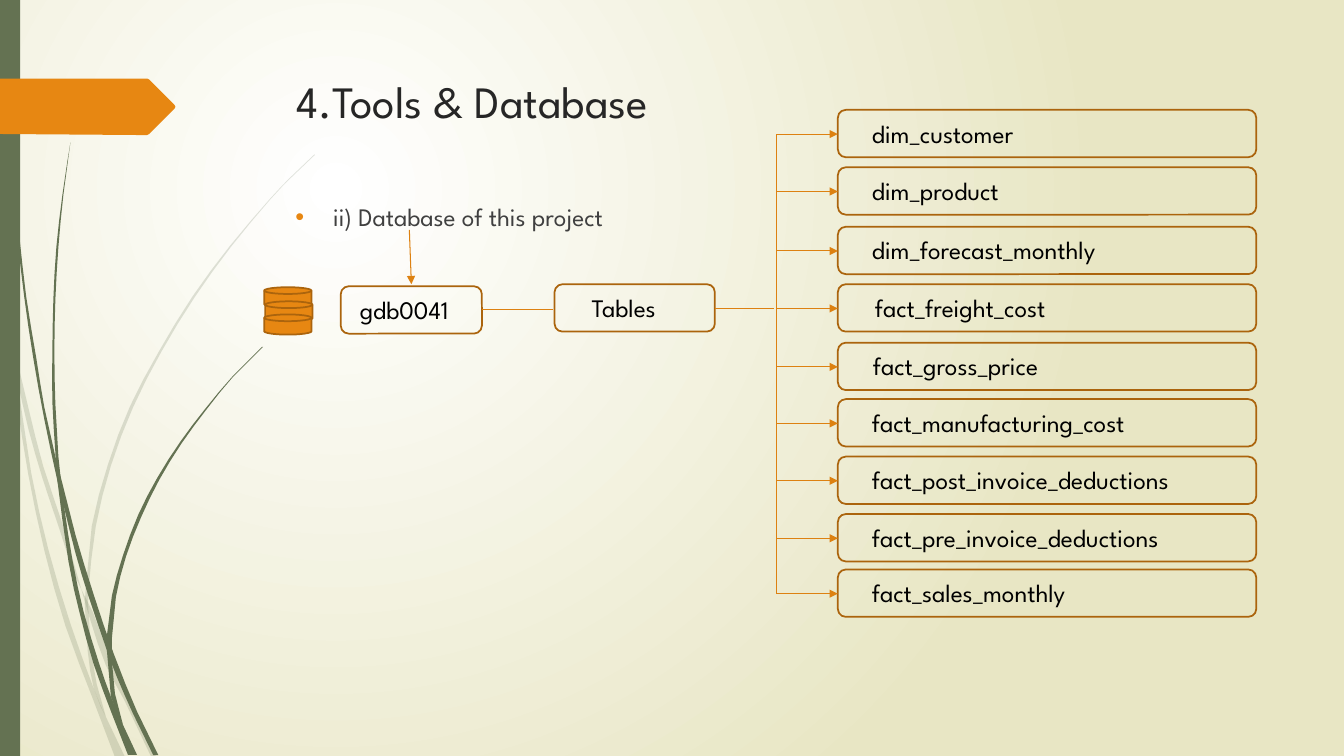
"""Build the slide that maps the project database to its tables."""
from math import dist

from lxml import etree
from pptx import Presentation
from pptx.dml.color import RGBColor
from pptx.enum.shapes import MSO_CONNECTOR, MSO_SHAPE
from pptx.oxml.ns import qn
from pptx.util import Emu, Pt

RECT, ROUND = MSO_SHAPE.RECTANGLE, MSO_SHAPE.ROUNDED_RECTANGLE
DISK = MSO_SHAPE.FLOWCHART_MAGNETIC_DISK
LINE = MSO_CONNECTOR.STRAIGHT
PX = 9144
FONT = "League Spartan"
COLORS = {
    "white": "FFFFFF", "sand": "E8E6C4", "green": "647252", "orange": "E78712",
    "edge": "AB640D", "link": "DD8111", "title": "262626", "body": "404040",
    "black": "000000",
}

TABLES = [
    ("dim_customer", 109, 855),
    ("dim_product", 166, 855),
    ("dim_forecast_monthly", 225, 855),
    ("fact_freight_cost", 282, 858),
    ("fact_gross_price", 340, 856),
    ("fact_manufacturing_cost", 396, 855),
    ("fact_post_invoice_deductions", 453, 855),
    ("fact_pre_invoice_deductions", 510, 855),
    ("fact_sales_monthly", 565, 855),
]
NODES = [
    ("gdb0041", (338, 284, 140, 47), (347, 287, 142, 40)),
    ("Tables", (550, 282, 159, 47), (577, 285, 105, 41)),
]
DISKS = [(262, 285), (263, 299), (262, 312)]
LINKS = [(478, 307, 548, 307), (709, 306, 768, 306)]
ROW = {"left": 831, "width": 415, "height": 47, "spine": 770}
ARROW = [(0, 78), (146, 78), (148, 79), (173, 104), (174, 106),
         (173, 108), (148, 133), (146, 134), (136, 134), (0, 133)]

PALE = [
    [(0, 282), (6, 309), (11, 350), (17, 376), (28, 425), (42, 474), (58, 522), (75, 573),
     (92, 607), (109, 652), (127, 692), (155, 751), (150, 751), (123, 694), (105, 660),
     (88, 610), (62, 520), (43, 463), (28, 404), (14, 345), (10, 344), (0, 299)],
    [(11, 350), (17, 376), (31, 469), (48, 545), (70, 619), (93, 683), (105, 711),
     (124, 751), (114, 751), (92, 693), (65, 621), (44, 546), (28, 470), (17, 400)],
    [(312, 153), (289, 175), (268, 197), (228, 244), (191, 294), (158, 348), (129, 403),
     (107, 461), (91, 522), (85, 584), (84, 599), (87, 646), (93, 683), (105, 711),
     (96, 679), (91, 646), (88, 610), (88, 584), (95, 522), (110, 462), (132, 404),
     (160, 349), (193, 295), (229, 245), (268, 198), (290, 175), (312, 154)],
]
DARK = [
    [(3, 0), (5, 48), (7, 110), (11, 172), (17, 233), (24, 294), (33, 355), (44, 416),
     (57, 477), (64, 505), (75, 549), (88, 592), (106, 645), (117, 674), (132, 708),
     (152, 749), (157, 749), (136, 706), (113, 649), (93, 590), (75, 531), (60, 472),
     (55, 453), (44, 404), (36, 355), (26, 294), (19, 232), (12, 171), (8, 109),
     (5, 48), (4, 0)],
    [(70, 141), (62, 193), (56, 245), (53, 297), (52, 349), (52, 399), (55, 449),
     (57, 477), (68, 557), (79, 608), (93, 659), (111, 708), (127, 749), (136, 749),
     (122, 719), (110, 691), (98, 657), (83, 607), (72, 556), (64, 505), (60, 472),
     (58, 453), (55, 401), (54, 349), (55, 297), (58, 245), (63, 193)],
    [(260, 344), (231, 373), (204, 405), (179, 438), (156, 474), (137, 511), (122, 551),
     (111, 591), (106, 631), (106, 645), (110, 691), (122, 719), (114, 688), (111, 656),
     (111, 633), (115, 592), (125, 552), (140, 513), (158, 476), (180, 440), (205, 406),
     (231, 374), (261, 344)],
]


def emu(*vals):
    return [Emu(round(v * PX)) for v in vals]


def rgb(name):
    return RGBColor.from_string(COLORS[name])


def paint(shape, fill=None, edge=None, alpha=None):
    shape.shadow.inherit = False
    if fill:
        shape.fill.solid()
        shape.fill.fore_color.rgb = rgb(fill)
    else:
        shape.fill.background()
    if edge:
        shape.line.color.rgb = rgb(edge)
        shape.line.width = Pt(1.25)
    else:
        shape.line.fill.background()
    if alpha:
        tint = shape.element.spPr.find(".//" + qn("a:srgbClr"))
        etree.SubElement(tint, qn("a:alpha"), val=str(alpha * 1000))


def block(slide, kind, box, fill=None, edge=None):
    paint(slide.shapes.add_shape(kind, *emu(*box)), fill, edge)


def outline(slide, pts, fill, alpha=None):
    pts = [emu(*p) for p in pts]
    form = slide.shapes.build_freeform(*pts[0], scale=1.0)
    form.add_line_segments(pts[1:], close=True)
    paint(form.convert_to_shape(), fill, alpha=alpha)


def smooth(knots):
    """Add a curved midpoint to each long side that continues both neighbours."""
    pts = []
    for i, b in enumerate(knots):
        a, c, d = knots[i - 1], knots[(i + 1) % len(knots)], knots[(i + 2) % len(knots)]
        pts.append(b)
        if min(dist(a, b), dist(b, c), dist(c, d)) > 25:
            pts.append([(9 * (b[j] + c[j]) - a[j] - d[j]) / 16 for j in (0, 1)])
    return pts


def label(slide, text, box, size=18, color="black"):
    frame = slide.shapes.add_textbox(*emu(*box)).text_frame
    frame.word_wrap = True
    para = frame.paragraphs[0]
    para.text = text
    font = para.runs[0].font
    font.name, font.size, font.color.rgb = FONT, Pt(size), rgb(color)
    return para


def bullet(para):
    para.space_before = Pt(10)
    props = para._p.get_or_add_pPr()
    props.set("marL", "342900")
    props.set("indent", "-342900")
    tint = etree.SubElement(props, qn("a:buClr"))
    etree.SubElement(tint, qn("a:srgbClr"), val=COLORS["orange"])
    etree.SubElement(props, qn("a:buFont"), typeface="Arial")
    etree.SubElement(props, qn("a:buChar"), char="•")


def link(slide, ends, head=False):
    line = slide.shapes.add_connector(LINE, *emu(*ends))
    line.line.color.rgb = rgb("link")
    line.line.width = Pt(0.75)
    if head:
        etree.SubElement(line.line._get_or_add_ln(), qn("a:tailEnd"), type="triangle")
    etree.SubElement(line.element.spPr, qn("a:effectLst"))


def backdrop(slide):
    fill = slide.background.fill
    fill.gradient()
    for stop, name in zip(fill.gradient_stops, ("white", "sand")):
        stop.color.rgb = rgb(name)
    grad = slide.element.find(".//" + qn("a:gradFill"))
    grad.remove(grad.find(qn("a:lin")))
    path = etree.SubElement(grad, qn("a:path"), path="circle")
    etree.SubElement(path, qn("a:fillToRect"), l="50000", t="50000", r="100000", b="100000")


def main():
    deck = Presentation()
    deck.slide_width, deck.slide_height = emu(1333, 750)
    slide = deck.slides.add_slide(deck.slide_layouts[6])
    backdrop(slide)
    for strands, alpha in ((PALE, 20), (DARK, None)):
        for knots in strands:
            outline(slide, smooth(knots), "green", alpha)
    block(slide, RECT, (0, 0, 20, 750), "green")
    outline(slide, ARROW, "orange")

    label(slide, "4.Tools & Database", (284, 68, 975, 140), 32, "title")
    bullet(label(slide, "ii) Database of this project", (283, 195, 975, 55), 18, "body"))
    for left, top in DISKS:
        block(slide, DISK, (left, top, 47, 20), "orange", "edge")
    for text, box, spot in NODES:
        block(slide, ROUND, box, edge="edge")
        label(slide, text, spot)
    for ends in LINKS:
        link(slide, ends)
    link(slide, (406, 228, 408, 282), True)

    left, spine = ROW["left"], ROW["spine"]
    mids = [top + 24 for _, top, _ in TABLES]
    for (text, top, start), mid in zip(TABLES, mids):
        block(slide, ROUND, (left, top, ROW["width"], ROW["height"]), edge="edge")
        label(slide, text, (start, top + 3, 390, 40))
        link(slide, (spine, mid, left, mid), True)
    link(slide, (spine, mids[0], spine, mids[-1]))
    deck.save("out.pptx")


if __name__ == "__main__":
    main()
